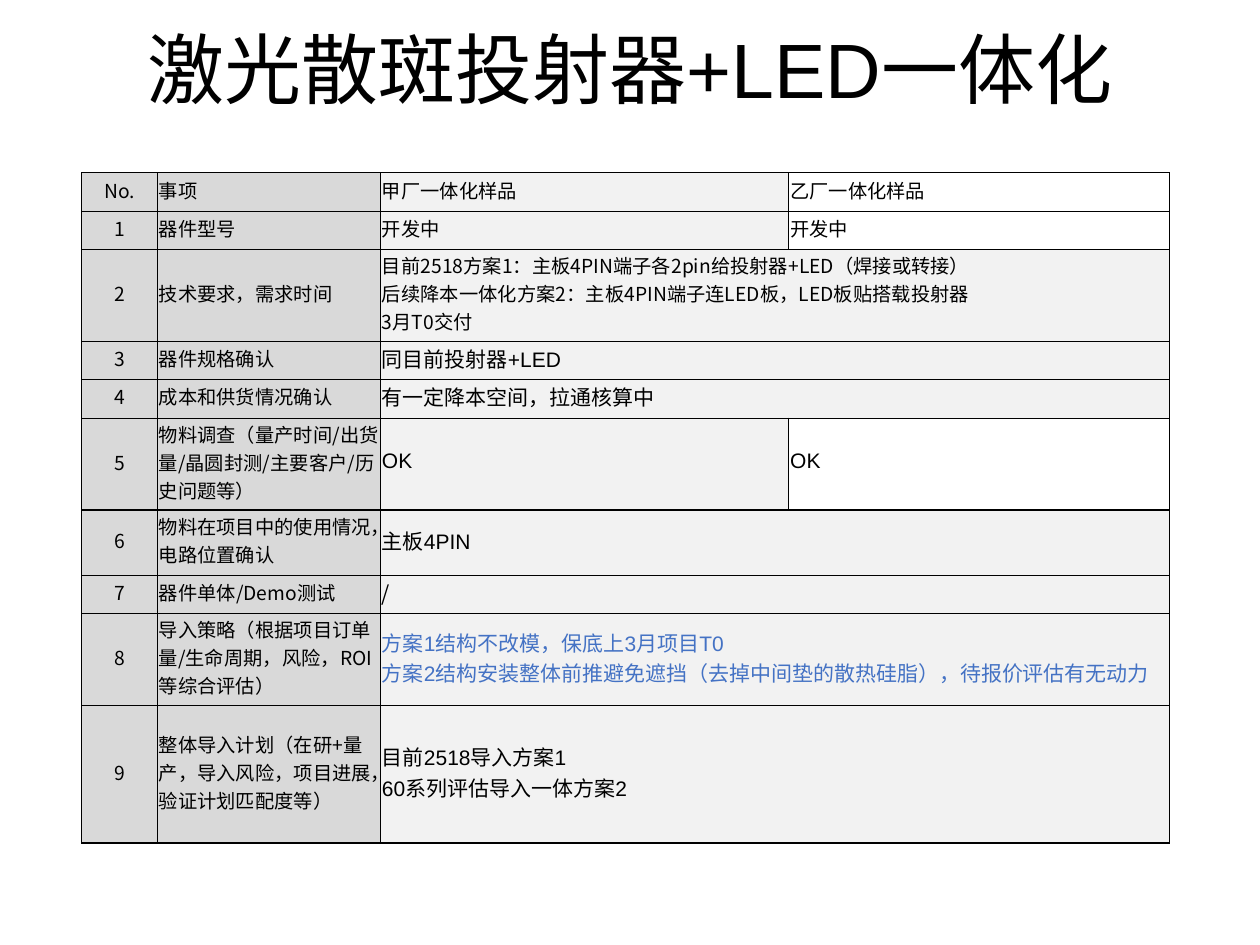
from dataclasses import dataclass
from itertools import groupby

from lxml.etree import SubElement
from pptx import Presentation
from pptx.dml.color import RGBColor
from pptx.enum.text import MSO_ANCHOR, PP_ALIGN
from pptx.oxml.ns import qn
from pptx.util import Cm, Pt


@dataclass(frozen=True)
class Theme:
    text: str = "000000"
    accent: str = "4472C4"
    label_fill: str = "D9D9D9"
    answer_fill: str = "F2F2F2"
    border: str = "000000"
    border_width: float = 0.75
    title_size: int = 44
    label_size: int = 11
    answer_size: int = 12
    sans: str = "Arial"
    cjk: str = "Noto Sans CJK SC"


THEME = Theme()


class SlideBuilder:
    """Holds the theme and the slide being filled."""

    def __init__(self, presentation, theme):
        self.theme = theme
        self.slide = presentation.slides.add_slide(presentation.slide_layouts[5])

    def style(self, font, size, name=None, color=None):
        font.size = Pt(size)
        font.color.rgb = RGBColor.from_string(color or self.theme.text)
        if name:
            font.name = name

    def title(self, text, left, top, width, height):
        title = self.slide.shapes.title
        title.left, title.top = Cm(left), Cm(top)
        title.width, title.height = Cm(width), Cm(height)
        title.text_frame.vertical_anchor = MSO_ANCHOR.MIDDLE
        heading = title.text_frame.paragraphs[0]
        heading.text = text
        heading.alignment = PP_ALIGN.CENTER
        self.style(heading.font, self.theme.title_size, self.theme.sans)

    def table(self, left, top, widths, heights):
        table = self.slide.shapes.add_table(
            len(heights), len(widths), Cm(left), Cm(top),
            Cm(sum(widths)), Cm(sum(heights))).table
        table.first_row = table.horz_banding = False
        for column, width in zip(table.columns, widths):
            column.width = Cm(width)
        for row, height in zip(table.rows, heights):
            row.height = Cm(height)
        for cell in table.iter_cells():
            self.frame(cell)
        return table

    def frame(self, cell):
        """Margins, anchor and the four borders of a cell."""
        cell.margin_left = cell.margin_top = cell.margin_right = Cm(0.03)
        cell.margin_bottom = Cm(0.13)
        cell.vertical_anchor = MSO_ANCHOR.MIDDLE
        cell.fill.background()
        properties = cell._tc.get_or_add_tcPr()
        for index, side in enumerate(("lnL", "lnR", "lnT", "lnB")):
            line = properties.makeelement(
                qn(f"a:{side}"), {"w": str(Pt(self.theme.border_width))})
            fill = SubElement(line, qn("a:solidFill"))
            SubElement(fill, qn("a:srgbClr"), val=self.theme.border)
            properties.insert(index, line)

    def fill(self, cell, color):
        cell.fill.solid()
        cell.fill.fore_color.rgb = RGBColor.from_string(color)

    def number(self, cell, text):
        self.fill(cell, self.theme.label_fill)
        self.answer(cell, text, self.theme.label_size, self.theme.cjk)
        cell.text_frame.paragraphs[0].alignment = PP_ALIGN.CENTER

    def item(self, cell, text):
        """Label whose Latin parts have a typeface of their own."""
        self.fill(cell, self.theme.label_fill)
        label = cell.text_frame.paragraphs[0]
        self.style(label.font, self.theme.label_size)
        for is_latin, letters in groupby(text, str.isascii):
            run = label.add_run()
            run.text = "".join(letters)
            run.font.name = self.theme.cjk if is_latin else self.theme.sans

    def answer(self, cell, text, size, font, color=None):
        cell.text_frame.text = text
        for paragraph in cell.text_frame.paragraphs:
            self.style(paragraph.font, size, font, color)


# Answer styles: size, typeface, colour
SMALL = (THEME.label_size, THEME.cjk)
LARGE = (THEME.answer_size, THEME.sans)
SLASH = (THEME.answer_size, THEME.cjk)
BLUE = (THEME.answer_size, THEME.sans, THEME.accent)

# Row height, item, answer style, answers (a single answer spans both samples)
ROWS = [
    (0.79, "事项", SMALL, ["甲厂一体化样品", "乙厂一体化样品"]),
    (0.76, "器件型号", SMALL, ["开发中", "开发中"]),
    (1.55, "技术要求，需求时间", SMALL, [
        "目前2518方案1：主板4PIN端子各2pin给投射器+LED（焊接或转接）\n"
        "后续降本一体化方案2：主板4PIN端子连LED板，LED板贴搭载投射器\n"
        "3月T0交付"]),
    (0.76, "器件规格确认", LARGE, ["同目前投射器+LED"]),
    (0.64, "成本和供货情况确认", LARGE, ["有一定降本空间，拉通核算中"]),
    (1.8, "物料调查（量产时间/出货量/晶圆封测/主要客户/历史问题等）", LARGE, ["OK", "OK"]),
    (1.32, "物料在项目中的使用情况，电路位置确认", LARGE, ["主板4PIN"]),
    (0.76, "器件单体/Demo测试", SLASH, ["/"]),
    (1.8, "导入策略（根据项目订单量/生命周期，风险，ROI等综合评估）", BLUE, [
        "方案1结构不改模，保底上3月项目T0\n"
        "方案2结构安装整体前推避免遮挡（去掉中间垫的散热硅脂），待报价评估有无动力"]),
    (2.77, "整体导入计划（在研+量产，导入风险，项目进展，验证计划匹配度等）", LARGE, [
        "目前2518导入方案1\n60系列评估导入一体方案2"]),
]


def main():
    presentation = Presentation()
    presentation.slide_width, presentation.slide_height = Cm(25.4), Cm(19.05)
    builder = SlideBuilder(presentation, THEME)

    # Title
    builder.title("激光散斑投射器+LED一体化", 1.27, -0.23, 22.86, 3.18)

    # Checklist
    checklist = builder.table(1.65, 3.48, [1.52, 4.5, 8.23, 7.67],
                              [row[0] for row in ROWS])
    for index, (_, item, answer_style, answers) in enumerate(ROWS):
        number, label, first, last = (checklist.cell(index, c) for c in range(4))
        builder.number(number, str(index) if index else "No.")
        builder.item(label, item)
        builder.fill(first, THEME.answer_fill)
        if len(answers) == 1:
            first.merge(last)
        for cell, answer in zip((first, last), answers):
            builder.answer(cell, answer, *answer_style)

    presentation.save("out.pptx")


if __name__ == "__main__":
    main()
